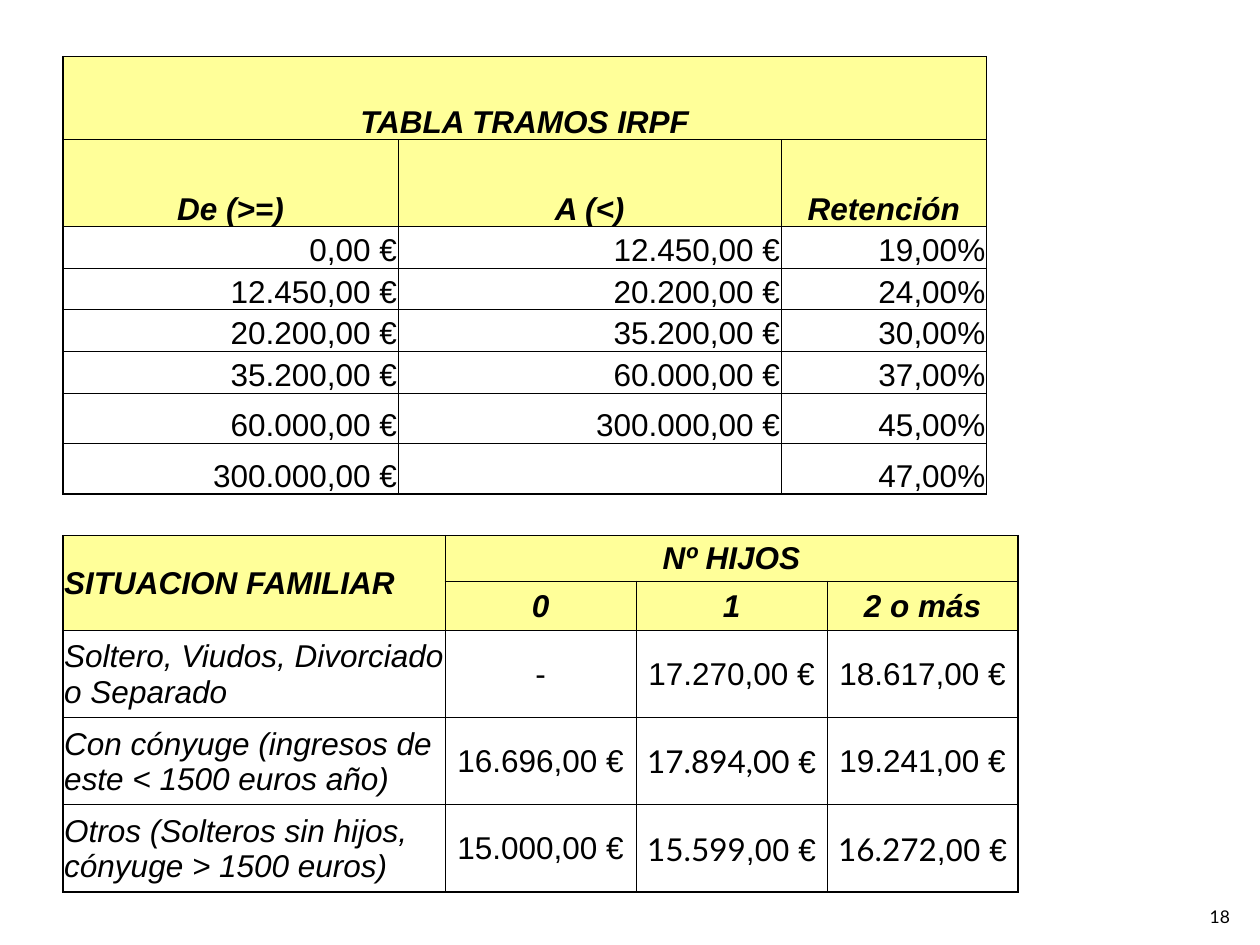
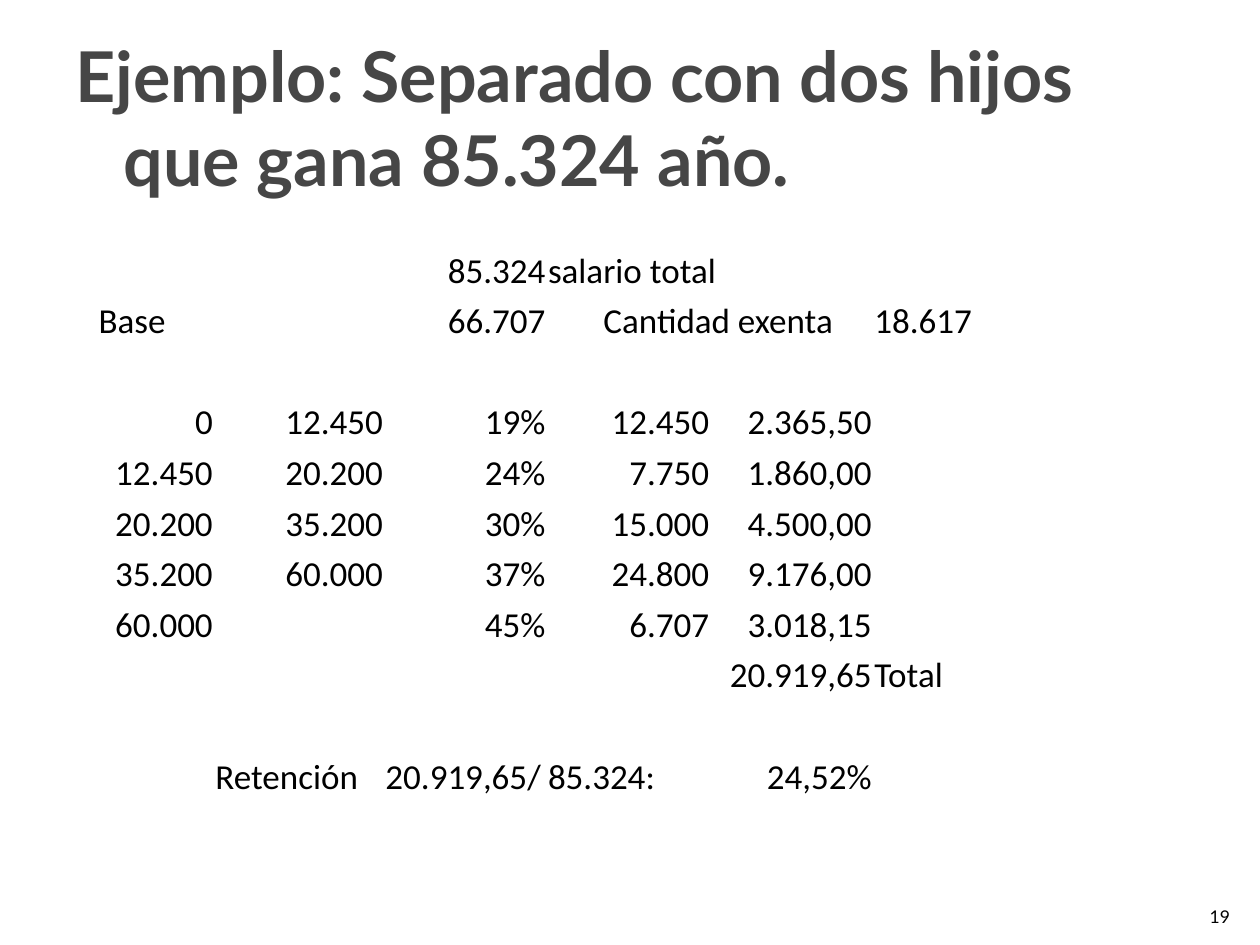
from collections import namedtuple

from lxml import etree
from pptx import Presentation
from pptx import util as u
from pptx.dml.color import RGBColor
from pptx.enum import text
from pptx.oxml.ns import qn

Box = namedtuple("Box", "left top width height")
Look = namedtuple("Look", "font size color bold italic", defaults=(False, False))

SLIDE = Box(0, 0, 100, 75)
CELL = u.Inches(0.1)
BLACK, TITLE_GREY, HEADER_YELLOW = "000000", "464646", "FFFF99"
NO_STYLE = "{2D5ABB26-0587-4C30-8999-92F81FD0307C}"
THIN, THICK = 0.5, 1

TITLE_LOOK = Look("Lato", 40, TITLE_GREY, True)
NUMBER_LOOK = Look("Lato", 10, BLACK)
HEADER_LOOK = Look("Arial", 18, BLACK, True, True)
LABEL_LOOK = Look("Arial", 18, BLACK, False, True)
VALUE_LOOK = Look("Arial", 18, BLACK)
LATO_LOOK = Look("Lato", 18, BLACK)
EXAMPLE_LOOK = Look("Calibri", 20, BLACK)

LEFT, CENTER, RIGHT = (text.PP_ALIGN.LEFT, text.PP_ALIGN.CENTER,
                       text.PP_ALIGN.RIGHT)
MIDDLE, BOTTOM = text.MSO_ANCHOR.MIDDLE, text.MSO_ANCHOR.BOTTOM

BRACKETS = [
    ("0,00 €", "12.450,00 €", "19,00%"),
    ("12.450,00 €", "20.200,00 €", "24,00%"),
    ("20.200,00 €", "35.200,00 €", "30,00%"),
    ("35.200,00 €", "60.000,00 €", "37,00%"),
    ("60.000,00 €", "300.000,00 €", "45,00%"),
    ("300.000,00 €", "", "47,00%"),
]
FAMILIES = [
    ("Soltero, Viudos, Divorciado o Separado",
     "-", "17.270,00 €", "18.617,00 €"),
    ("Con cónyuge (ingresos de este < 1500 euros año)",
     "16.696,00 €", ("17.894,00", " €"), "19.241,00 €"),
    ("Otros (Solteros sin hijos, cónyuge > 1500 euros)",
     "15.000,00 €", ("15.599", ",00 €"), ("16.272", ",00 €")),
]
EXAMPLE = [
    ("", "", "85.324", "salario total", "", ""),
    ("Base ", "", "66.707", "Cantidad exenta", "", "18.617"),
    (),
    ("0", "12.450", "19%", "12.450", "2.365,50"),
    ("12.450", "20.200", "24%", "7.750", "1.860,00"),
    ("20.200", "35.200", "30%", "15.000", "4.500,00"),
    ("35.200", "60.000", "37%", "24.800", "9.176,00"),
    ("60.000", "", "45%", "6.707", "3.018,15"),
    ("", "", "", "", "20.919,65", "Total"),
    (),
    ("", "Retención", "20.919,65/", "85.324:", "24,52%"),
]
EXAMPLE_ALIGN = {(0, 3): LEFT, (1, 0): CENTER, (1, 3): LEFT, (1, 5): LEFT,
                 (8, 5): LEFT, (10, 1): LEFT, (10, 2): LEFT, (10, 3): LEFT}


def paint(hex_color):
    return RGBColor.from_string(hex_color)


def measure(box):
    return [round(length * CELL) for length in box]


def add_span(para, words, look):
    span = para.add_run()
    span.text = words
    font = span.font
    font.name, font.size = look.font, u.Pt(look.size)
    font.bold, font.italic = look.bold, look.italic
    font.color.rgb = paint(look.color)


def indent(para, margin, first_line=0):
    properties = para._p.get_or_add_pPr()
    properties.set("marL", str(u.Inches(margin)))
    properties.set("indent", str(u.Inches(first_line)))


def write_cell(cell, words, look, align, anchor):
    cell.vertical_anchor = anchor
    para = cell.text_frame.paragraphs[0]
    para.alignment = align
    if isinstance(words, tuple):
        add_span(para, words[0], LATO_LOOK)
        add_span(para, words[1], look)
    elif words:
        add_span(para, words, look)


def place_table(page, box, widths, heights, merges=()):
    frame = page.shapes.add_table(len(heights), len(widths), *measure(box))
    table = frame.table
    table.first_row = table.horz_banding = False
    next(frame.element.iter(qn("a:tableStyleId"))).text = NO_STYLE
    for column, share in zip(table.columns, widths):
        column.width = round(box.width * CELL * share / sum(widths))
    for row, share in zip(table.rows, heights):
        row.height = round(box.height * CELL * share / sum(heights))
    for first, last in merges:
        table.cell(*first).merge(table.cell(*last))
    for cell in table.iter_cells():
        cell.margin_left = cell.margin_right = cell.margin_top = u.Inches(0.01)
        cell.margin_bottom = 0
    return table


def draw_border(cell, side, points):
    properties = cell._tc.get_or_add_tcPr()
    line = etree.SubElement(properties, qn("a:ln" + side), w=str(u.Pt(points)))
    fill = etree.SubElement(line, qn("a:solidFill"))
    etree.SubElement(fill, qn("a:srgbClr"), val=BLACK)


def rule_table(table, header_rows, thick_rows):
    row_count, column_count = len(table.rows), len(table.columns)
    heavy_rows = {0, row_count, *thick_rows}
    heavy_columns = {0, column_count}
    for row in range(row_count):
        for column in range(column_count):
            cell = table.cell(row, column)
            right = column + (cell.span_width if cell.is_merge_origin else 1)
            below = row + (cell.span_height if cell.is_merge_origin else 1)
            edges = [("L", column in heavy_columns), ("R", right in heavy_columns),
                     ("T", row in heavy_rows), ("B", below in heavy_rows)]
            for side, heavy in edges:
                draw_border(cell, side, THICK if heavy else THIN)
            if row < header_rows:
                cell.fill.solid()
                cell.fill.fore_color.rgb = paint(HEADER_YELLOW)


def place_brackets(page, box):
    heights = [0.66, 0.69] + [0.33] * 4 + [0.4] * 2
    table = place_table(page, box, [2.66, 3.04, 1.63], heights,
                        [((0, 0), (0, 2))])
    rule_table(table, 2, ())
    write_cell(table.cell(0, 0), "TABLA TRAMOS IRPF", HEADER_LOOK, CENTER, BOTTOM)
    for column, heading in enumerate(("De (>=)", "A (<)", "Retención")):
        write_cell(table.cell(1, column), heading, HEADER_LOOK, CENTER, BOTTOM)
    for row, bracket in enumerate(BRACKETS, 2):
        for column, words in enumerate(bracket):
            write_cell(table.cell(row, column), words, VALUE_LOOK, RIGHT, BOTTOM)


def place_families(page, box):
    table = place_table(page, box, [2, 1, 1, 1], [0.36, 0.39] + [0.69] * 3,
                        [((0, 0), (1, 0)), ((0, 1), (0, 3))])
    rule_table(table, 2, (2,))
    write_cell(table.cell(0, 0), "SITUACION FAMILIAR", HEADER_LOOK, LEFT, MIDDLE)
    write_cell(table.cell(0, 1), "Nº HIJOS", HEADER_LOOK, CENTER, MIDDLE)
    for column, heading in enumerate(("0", "1", "2 o más"), 1):
        write_cell(table.cell(1, column), heading, HEADER_LOOK, CENTER, MIDDLE)
    for row, (label, *amounts) in enumerate(FAMILIES, 2):
        write_cell(table.cell(row, 0), label, LABEL_LOOK, LEFT, MIDDLE)
        for column, amount in enumerate(amounts, 1):
            write_cell(table.cell(row, column), amount, VALUE_LOOK, CENTER, MIDDLE)


def place_example(page, box):
    table = place_table(page, box, [1.24, 1.35, 1.29, 1.3, 1.29, 1.29],
                        [1] * len(EXAMPLE),
                        [((row, 3), (row, 4)) for row in (0, 1)])
    for row, entries in enumerate(EXAMPLE):
        for column, words in enumerate(entries):
            align = EXAMPLE_ALIGN.get((row, column), RIGHT)
            write_cell(table.cell(row, column), words, EXAMPLE_LOOK, align, BOTTOM)
    indent(table.cell(1, 3).text_frame.paragraphs[0], 0.44)


def place_title(page, box, words):
    title = page.shapes.title
    title.left, title.top, title.width, title.height = measure(box)
    frame = title.text_frame
    frame.auto_size = text.MSO_AUTO_SIZE.NONE
    frame.vertical_anchor = MIDDLE
    para = frame.paragraphs[0]
    para.alignment = LEFT
    indent(para, 0.38, -0.38)
    add_span(para, words, TITLE_LOOK)


def place_number(page, number):
    box = Box(SLIDE.width - 5.4, SLIDE.height - 4.9, 4, 4)
    frame = page.shapes.add_textbox(*measure(box)).text_frame
    frame.word_wrap = True
    frame.vertical_anchor = BOTTOM
    para = frame.paragraphs[0]
    para.alignment = RIGHT
    add_span(para, str(number), NUMBER_LOOK)


def build_tax_tables(deck):
    page = deck.slides.add_slide(deck.slide_layouts[6])
    place_families(page, Box(5, 42.5, 75.8, 28.3))
    place_brackets(page, Box(5, 4.5, 73.3, 34.7))
    place_number(page, 18)


def build_example(deck):
    page = deck.slides.add_slide(deck.slide_layouts[5])
    place_title(page, Box(5, 3, 90, 12.5),
                "Ejemplo: Separado con dos hijos que gana 85.324 año.")
    place_example(page, Box(4.6, 19.2, 77.6, 44.2))
    place_number(page, 19)


def main():
    deck = Presentation()
    _, _, deck.slide_width, deck.slide_height = measure(SLIDE)
    build_tax_tables(deck)
    build_example(deck)
    deck.save("out.pptx")


if __name__ == "__main__":
    main()
